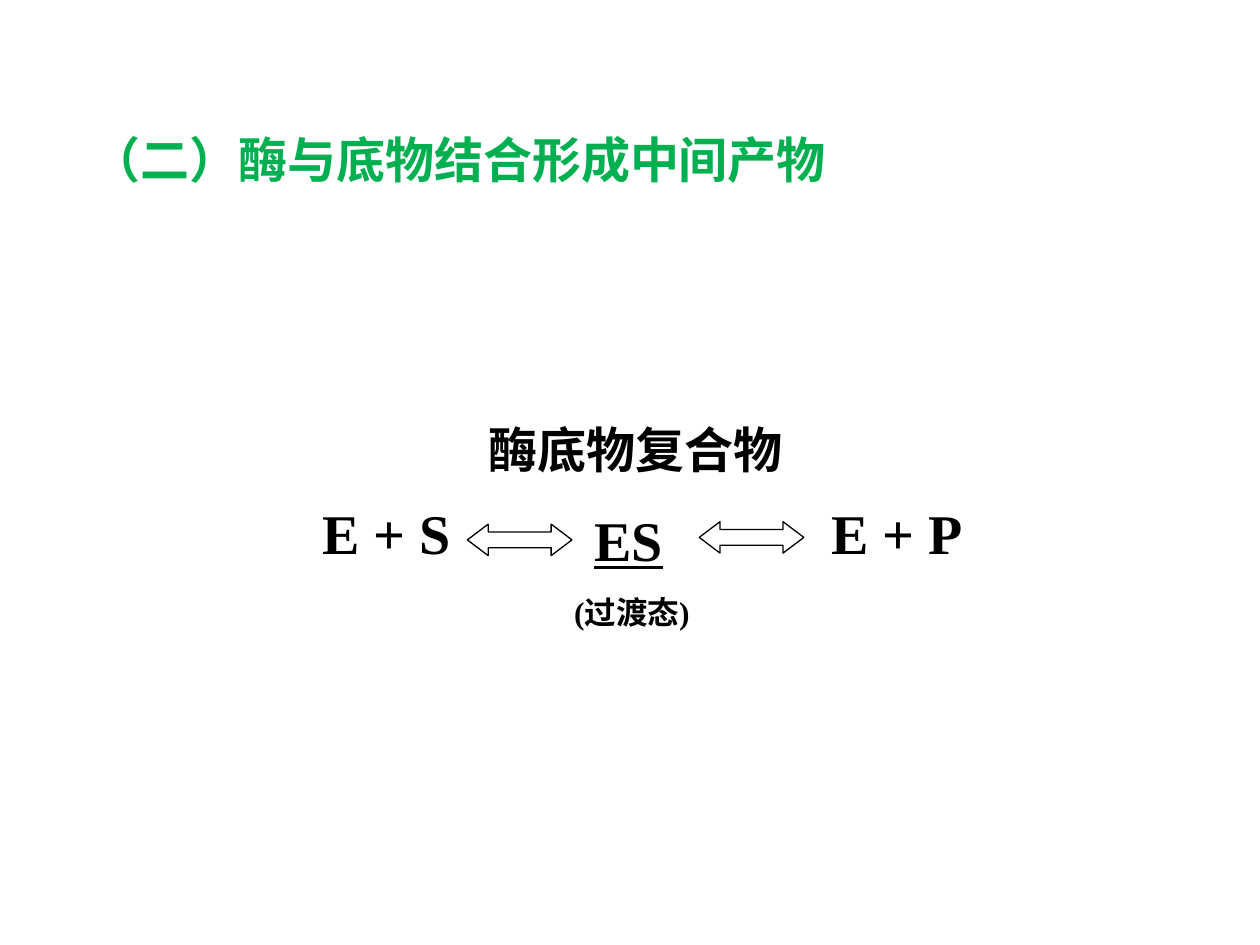
from dataclasses import dataclass
from typing import Optional

from lxml import etree
from pptx import Presentation
from pptx.dml.color import RGBColor
from pptx.enum.shapes import MSO_SHAPE
from pptx.enum.text import MSO_AUTO_SIZE, PP_ALIGN
from pptx.oxml.ns import qn
from pptx.util import Inches, Pt

LEFT = PP_ALIGN.LEFT
CENTER = PP_ALIGN.CENTER
DOUBLE_ARROW = MSO_SHAPE.LEFT_RIGHT_ARROW
NO_AUTOFIT = MSO_AUTO_SIZE.NONE


@dataclass(frozen=True)
class Theme:
    heading_color: RGBColor = RGBColor(0x00, 0xB0, 0x50)
    ink: RGBColor = RGBColor(0x00, 0x00, 0x00)
    heading_font: str = "Arial"
    chinese_font: str = "Noto Sans CJK SC"
    formula_font: str = "Times New Roman"
    heading_size: int = 28
    formula_size: int = 32
    note_size: int = 18
    outline: float = 0.75


THEME = Theme()


@dataclass(frozen=True)
class Label:
    text: str
    left: float
    top: float
    width: float
    height: float
    size: int = THEME.formula_size
    font: str = THEME.formula_font
    color: RGBColor = THEME.ink
    align: PP_ALIGN = CENTER
    underline: bool = False
    wrap: bool = True
    line_spacing: Optional[float] = None
    hanging: float = 0


@dataclass(frozen=True)
class Arrow:
    left: float
    top: float
    width: float = 0.83
    height: float = 0.25


LABELS = (
    Label("（二）酶与底物结合形成中间产物", 0.63, 0.84, 7.68, 0.87,
          THEME.heading_size, THEME.heading_font, THEME.heading_color,
          LEFT, line_spacing=1.3, hanging=1.37),
    Label("酶底物复合物", 3.43, 3.28, 3.23, 0.57,
          THEME.heading_size, THEME.chinese_font),
    Label("E + S", 2.24, 3.91, 1.66, 0.64),
    Label("ES", 4.62, 3.96, 0.74, 0.64, align=LEFT, underline=True, wrap=False),
    Label("E + P", 6.5, 3.91, 1.63, 0.64, align=LEFT),
    Label("(过渡态)", 3.9, 4.69, 2.23, 0.37, THEME.note_size, line_spacing=0.9),
)
ARROWS = (Arrow(3.71, 4.16), Arrow(5.55, 4.14))


def add_label(slide, label: Label) -> None:
    shape = slide.shapes.add_textbox(Inches(label.left), Inches(label.top),
                                     Inches(label.width), Inches(label.height))
    frame = shape.text_frame
    frame.word_wrap = label.wrap
    frame.auto_size = NO_AUTOFIT
    paragraph = frame.paragraphs[0]
    paragraph.text = label.text
    paragraph.alignment = label.align
    if label.line_spacing:
        paragraph.line_spacing = label.line_spacing
    font = paragraph.font
    font.name = label.font
    font.size = Pt(label.size)
    font.bold = True
    font.underline = label.underline
    font.color.rgb = label.color

    # Chinese typeface and hanging indent
    properties = paragraph._p.get_or_add_pPr()
    latin = properties.find(qn("a:defRPr")).find(qn("a:latin"))
    east_asian = etree.Element(qn("a:ea"), typeface=THEME.chinese_font)
    latin.addnext(east_asian)
    if label.hanging:
        properties.set("marL", str(Inches(label.hanging)))
        properties.set("indent", str(-Inches(label.hanging)))


def add_arrow(slide, arrow: Arrow) -> None:
    shape = slide.shapes.add_shape(DOUBLE_ARROW, Inches(arrow.left), Inches(arrow.top),
                                   Inches(arrow.width), Inches(arrow.height))
    shape.adjustments[0] = 0.5
    shape.adjustments[1] = 0.66
    shape.shadow.inherit = False
    shape.fill.background()
    shape.line.color.rgb = THEME.ink
    shape.line.width = Pt(THEME.outline)


def main() -> None:
    presentation = Presentation()
    presentation.slide_width = Inches(10)
    presentation.slide_height = Inches(7.5)
    slide = presentation.slides.add_slide(presentation.slide_layouts[6])

    # Reaction arrows
    for arrow in ARROWS:
        add_arrow(slide, arrow)

    # Heading, formula terms and captions
    for label in LABELS:
        add_label(slide, label)

    presentation.save("out.pptx")


if __name__ == "__main__":
    main()
